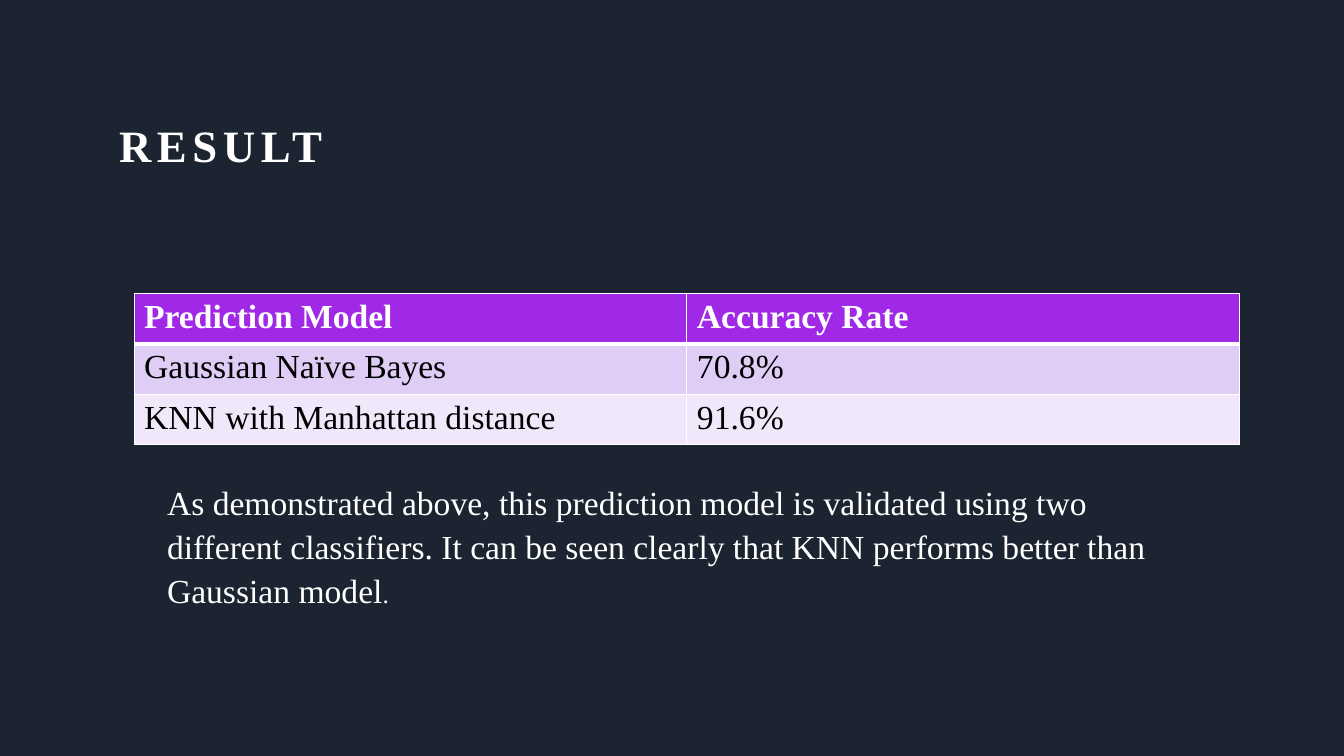
from lxml import etree
from pptx import Presentation
from pptx import util as u
from pptx.dml.color import RGBColor
from pptx.enum import text
from pptx.oxml.ns import qn

COLOURS = {
    "background": "1B2430",
    "white": "FFFFFF",
    "black": "000000",
    "header": "A029E7",
    "odd_row": "DFCDF6",
    "even_row": "F0E8FA",
}


def colour(name):
    return RGBColor.from_string(COLOURS[name])


class ResultPage:
    font = "Times New Roman"
    line_spacing = 1.1

    def __init__(self, deck):
        self.page = deck.slides.add_slide(deck.slide_layouts[6])
        fill = self.page.background.fill
        fill.solid()
        fill.fore_color.rgb = colour("background")

    def style(self, span, size, tint="white", bold=False):
        span.font.name = self.font
        span.font.size = u.Pt(size)
        span.font.bold = bold
        span.font.color.rgb = colour(tint)

    def text_box(self, left, top, width, height, wording, size, bold=False):
        box = self.page.shapes.add_textbox(*map(u.Cm, (left, top, width, height)))
        frame = box.text_frame
        frame.text = wording
        frame.word_wrap = True
        frame.vertical_anchor = text.MSO_ANCHOR.TOP
        para = frame.paragraphs[0]
        para.line_spacing = self.line_spacing
        self.style(para.runs[0], size, bold=bold)
        return box

    def title(self, *place, wording):
        box = self.text_box(*place, wording, 32, bold=True)
        frame = box.text_frame
        frame.margin_left = frame.margin_right = 0
        frame.margin_top = frame.margin_bottom = 0
        # Letter spacing in hundredths of a point
        frame.paragraphs[0].runs[0].font._element.set("spc", "400")

    def border(self, cell, side, points):
        line = etree.SubElement(cell._tc.get_or_add_tcPr(), qn(f"a:{side}"),
                                w=str(u.Pt(points)))
        fill = etree.SubElement(line, qn("a:solidFill"))
        etree.SubElement(fill, qn("a:srgbClr"), val=COLOURS["white"])

    def table(self, left, top, width, row_height, rows):
        place = map(u.Cm, (left, top, width, row_height * len(rows)))
        table = self.page.shapes.add_table(len(rows), len(rows[0]), *place).table
        for r, row in enumerate(rows):
            header = r == 0
            fill = "header" if header else "odd_row" if r % 2 else "even_row"
            for c, wording in enumerate(row):
                cell = table.cell(r, c)
                cell.text = wording
                self.style(cell.text_frame.paragraphs[0].runs[0], 24,
                           "white" if header else "black", header)
                # Borders come before the fill in the cell properties
                for side in ("lnL", "lnR", "lnT", "lnB"):
                    heavy = (header and side == "lnB") or (r == 1 and side == "lnT")
                    self.border(cell, side, 3 if heavy else 1)
                cell.fill.solid()
                cell.fill.fore_color.rgb = colour(fill)


def main():
    deck = Presentation()
    deck.slide_width, deck.slide_height = u.Cm(33.87), u.Cm(19.05)
    result = ResultPage(deck)

    # Heading
    result.title(3, 2.82, 27.86, 1.83, wording="RESULT")

    # Accuracy of each model
    result.table(3.38, 7.39, 27.86, 1.04, [
        ("Prediction Model", "Accuracy Rate"),
        ("Gaussian Naïve Bayes", "70.8%"),
        ("KNN with Manhattan distance", "91.6%"),
    ])

    # Conclusion, with a smaller full stop
    conclusion = result.text_box(
        3.96, 11.91, 26.37, 4.88,
        "As demonstrated above, this prediction model is validated using two "
        "different classifiers. It can be seen clearly that KNN performs better "
        "than Gaussian model", 24)
    stop = conclusion.text_frame.paragraphs[0].add_run()
    stop.text = "."
    result.style(stop, 18)

    deck.save("out.pptx")


if __name__ == "__main__":
    main()
